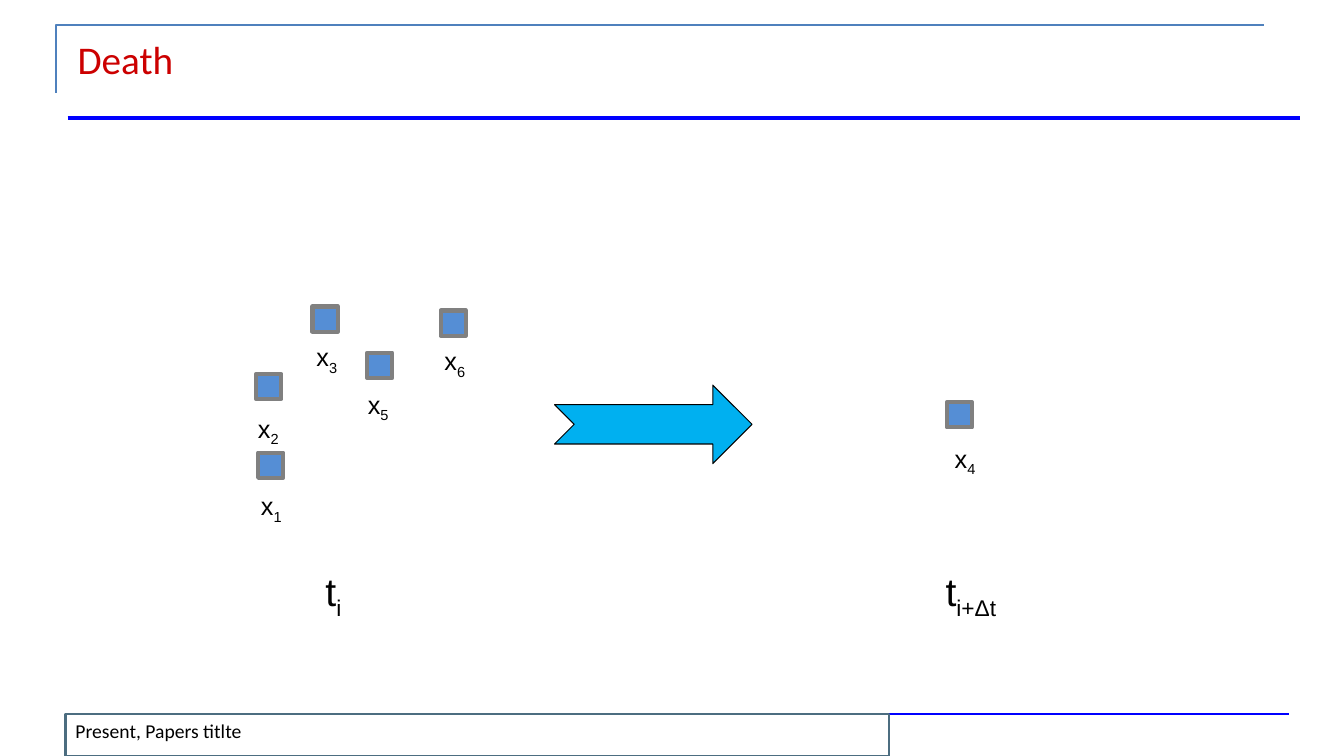
from pptx import Presentation
from pptx.dml.color import RGBColor
from pptx.enum.shapes import MSO_CONNECTOR, MSO_SHAPE
from pptx.enum.text import MSO_ANCHOR, MSO_AUTO_SIZE, PP_ALIGN
from pptx.oxml.ns import qn
from pptx.util import Pt
from lxml.etree import SubElement

PX = 9144  # EMU per px, 100 px to the inch
THEME = {
    "title": {"name": "Calibri", "size": Pt(28), "color": "CC0000"},
    "foot": {"name": "Calibri", "size": Pt(14), "color": "000000"},
    "point": {"name": "Arial", "size": Pt(18), "color": "000000"},
    "time": {"name": "Arial", "size": Pt(28), "color": "000000"},
    "corner": {"line": ("4F81BD", 1.5)},
    "head rule": {"line": ("0000FF", 3)},
    "foot rule": {"line": ("0000FF", 1.5)},
    "foot box": {"line": ("4C6D80", 1.5)},
    "dot": {"fill": "558ED5", "line": ("808080", 3)},
    "arrow": {"fill": "00B0F0", "line": ("000000", 0.75)},
}


def paint(shape, style):
    look = THEME[style]
    color, width = look["line"]
    shape.line.color.rgb = RGBColor.from_string(color)
    shape.line.width = Pt(width)
    if style.endswith("rule"):
        SubElement(shape._element.spPr, qn("a:effectLst"))
        return
    shape.shadow.inherit = False
    if "fill" in look:
        shape.fill.solid()
        shape.fill.fore_color.rgb = RGBColor.from_string(look["fill"])
    else:
        shape.fill.background()


def write(shape, style, text, sub="", wrap=True):
    """Put text, with an optional subscript, at the top left of a shape."""
    frame = shape.text_frame
    layout = {"word_wrap": wrap, "auto_size": MSO_AUTO_SIZE.NONE,
              "vertical_anchor": MSO_ANCHOR.TOP}
    for key, value in layout.items():
        setattr(frame, key, value)
    para = frame.paragraphs[0]
    para.alignment = PP_ALIGN.LEFT
    for part in filter(None, (text, sub)):
        run = para.add_run()
        run.text = part
        for key, value in THEME[style].items():
            if key == "color":
                run.font.color.rgb = RGBColor.from_string(value)
            else:
                setattr(run.font, key, value)
    if sub:
        run._r.get_or_add_rPr().set("baseline", "-25000")


deck = Presentation()
deck.slide_width, deck.slide_height = 1333 * PX, 750 * PX
slide = deck.slides.add_slide(deck.slide_layouts[5])
shapes = slide.shapes

# Frame: corner, rules, title and footer
pen = shapes.build_freeform(56, 92, scale=PX)
pen.add_line_segments([(56, 25), (1254, 25)], close=False)
paint(pen.convert_to_shape(), "corner")

for style, left, right, y in [("head rule", 67, 1289, 117),
                              ("foot rule", 67, 1278, 708)]:
    rule = shapes.add_connector(MSO_CONNECTOR.STRAIGHT, left * PX, y * PX,
                                right * PX, y * PX)
    paint(rule, style)

title = shapes.title
place = {"left": 67, "top": 30, "width": 1200, "height": 95}
for key, value in place.items():
    setattr(title, key, value * PX)
write(title, "title", "Death")

foot = shapes.add_shape(MSO_SHAPE.RECTANGLE, 65 * PX, 708 * PX,
                        817 * PX, 42 * PX)
paint(foot, "foot box")
write(foot, "foot", "Present, Papers titlte")

# Points: index, square corner, label corner
SIDE = 25
points = [
    (1, (256, 449), (249, 482)),
    (2, (254, 371), (246, 405)),
    (3, (310, 304), (304, 334)),
    (4, (939, 399), (937, 435)),
    (5, (364, 350), (355, 381)),
    (6, (437, 308), (431, 338)),
]
for index, (x, y), (left, top) in points:
    dot = shapes.add_shape(MSO_SHAPE.RECTANGLE, x * PX, y * PX,
                           SIDE * PX, SIDE * PX)
    paint(dot, "dot")
    label = shapes.add_textbox(left * PX, top * PX, 40 * PX, 44 * PX)
    write(label, "point", "x", str(index), wrap=False)

# Time labels and the step between them
for left, width, sub in [(313, 36, "i"), (928, 70, "i+Δt")]:
    label = shapes.add_textbox(left * PX, 558 * PX, width * PX, 63 * PX)
    write(label, "time", "t", sub, wrap=False)

arrow = shapes.add_shape(MSO_SHAPE.NOTCHED_RIGHT_ARROW, 550 * PX, 382 * PX,
                         196 * PX, 78 * PX)
paint(arrow, "arrow")

deck.save("out.pptx")
